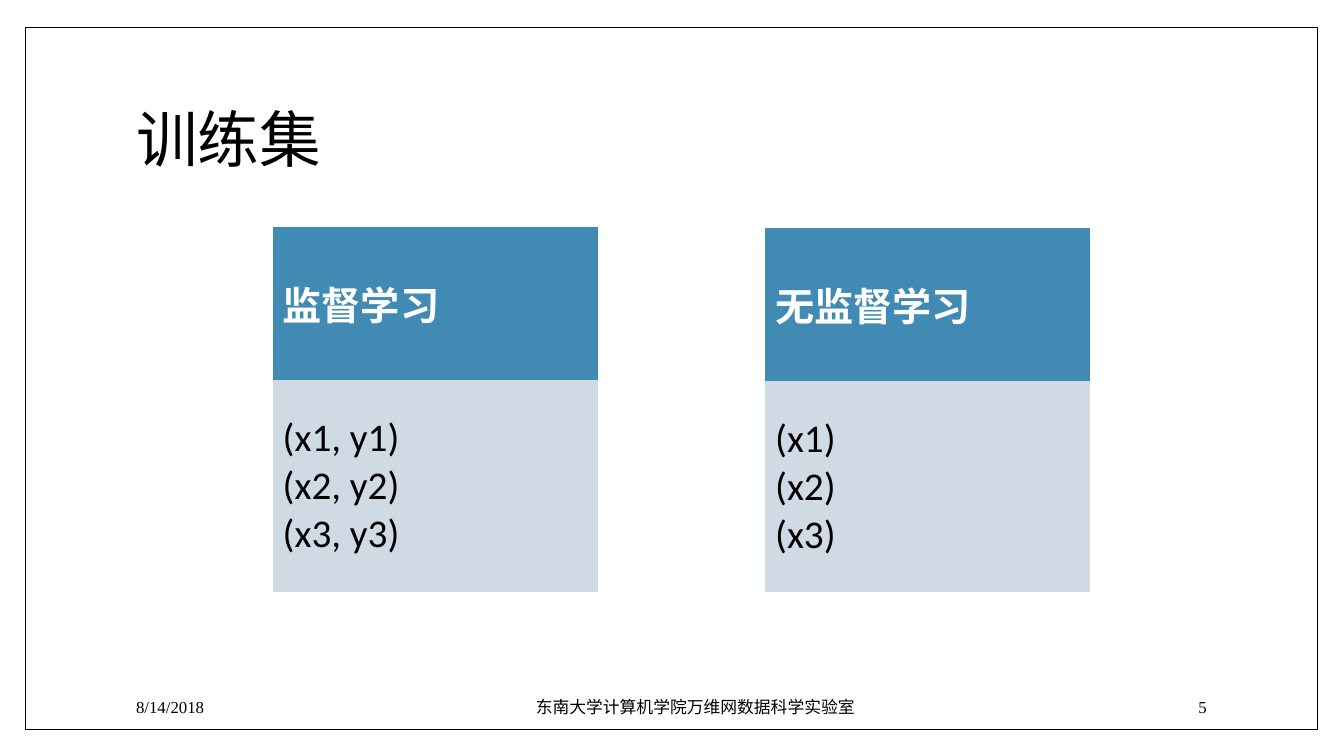
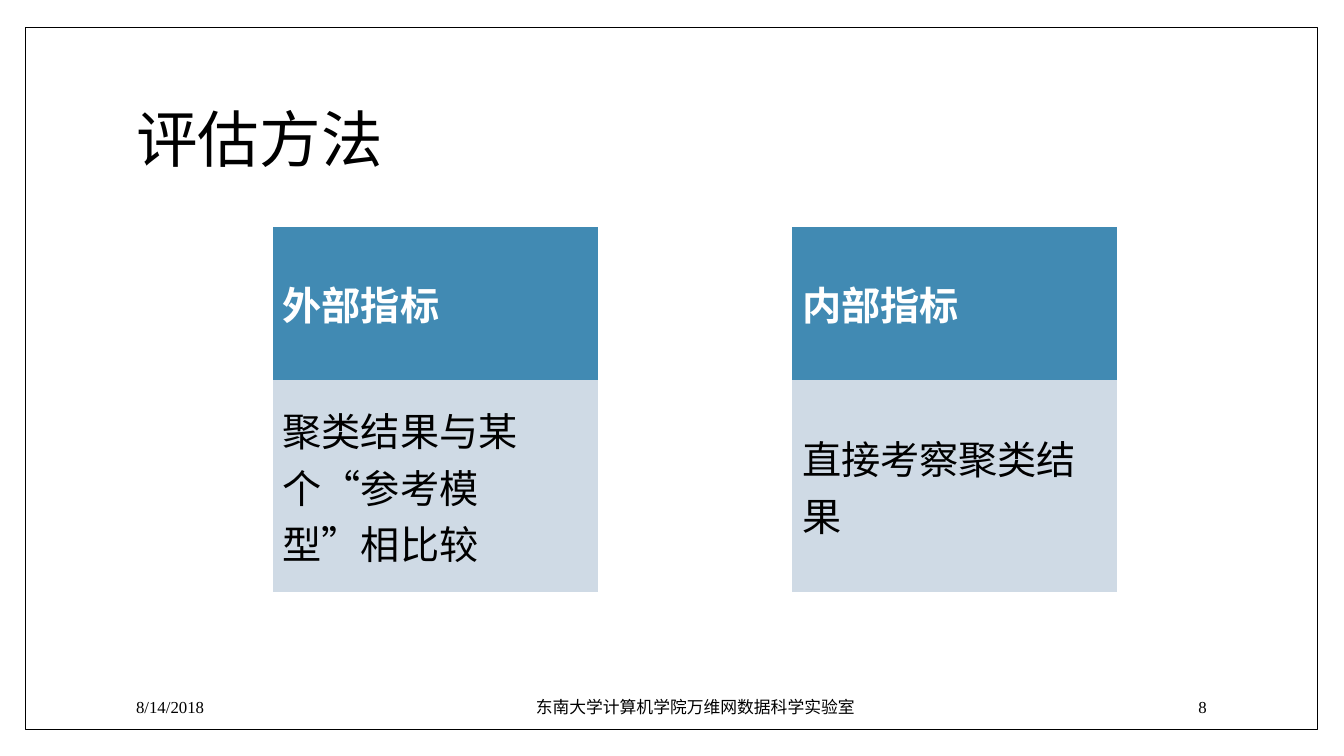
from dataclasses import dataclass

import pptx
import pptx.dml.color
import pptx.enum.shapes
import pptx.enum.text
import pptx.oxml.ns
import pptx.slide
import pptx.text.text
import pptx.util

Cm = pptx.util.Cm
Align = pptx.enum.text.PP_ALIGN
Middle = pptx.enum.text.MSO_ANCHOR.MIDDLE

COLOURS = {"ink": "000000", "paper": "FFFFFF", "header": "418AB3", "body": "CFDAE5"}
SERIF = "Times New Roman"
SANS = "Calibri"
PLAIN_TABLE_STYLE = "{2D5ABB26-0587-4C30-8999-92F81FD0307C}"
TITLE_ONLY = 5
MARGIN = 3.18
CARD_LEFT, CARD_TOP, CARD_WIDTH = 6.87, 5.72, 8.2
CARD_ROWS = (3.86, 5.33)


@dataclass(frozen=True)
class Card:
    left: float
    heading: str
    lines: tuple[str, ...]
    top: float = CARD_TOP


@dataclass(frozen=True)
class Topic:
    title: str
    number: int
    cards: tuple[Card, ...]


@dataclass(frozen=True)
class FooterPart:
    text: str
    left: float
    width: float
    align: Align
    font: str = SERIF


TOPICS = (
    Topic("训练集", 5, (
        Card(CARD_LEFT, "监督学习", ("(x1, y1)", "(x2, y2)", "(x3, y3)")),
        Card(19.28, "无监督学习", ("(x1)", "(x2)", "(x3)"), top=5.74),
    )),
    Topic("评估方法", 8, (
        Card(CARD_LEFT, "外部指标", ("聚类结果与某个“参考模型”相比较",)),
        Card(19.96, "内部指标", ("直接考察聚类结果",)),
    )),
)


def colour(name: str) -> pptx.dml.color.RGBColor:
    return pptx.dml.color.RGBColor.from_string(COLOURS[name])


def style_text(frame: pptx.text.text.TextFrame, size: float, font: str,
               ink: str = "ink", bold: bool = False, align: Align = Align.LEFT) -> None:
    for para in frame.paragraphs:
        para.alignment = align
        para.font.size = pptx.util.Pt(size)
        para.font.name = font
        para.font.bold = bold
        para.font.color.rgb = colour(ink)


def add_frame(page: pptx.slide.Slide) -> None:
    """Put the page border on the layout, so that every slide shares it."""
    border = page.shapes.add_shape(pptx.enum.shapes.MSO_SHAPE.RECTANGLE,
                                   Cm(0.64), Cm(0.69), Cm(32.56), Cm(17.7))
    border.shadow.inherit = False
    border.fill.solid()
    border.fill.fore_color.rgb = colour("paper")
    border.line.color.rgb = colour("ink")
    border.line.width = pptx.util.Pt(1)
    page.slide_layout.shapes.element.insert(2, border.element)


def add_title(page: pptx.slide.Slide, text: str) -> None:
    title = page.shapes.title
    title.left, title.top = Cm(MARGIN), Cm(1.7)
    title.width, title.height = Cm(27.43), Cm(3.76)
    title.text_frame.text = text
    title.text_frame.vertical_anchor = Middle
    style_text(title.text_frame, 44, SERIF)
    title.text_frame.paragraphs[0].line_spacing = 0.9


def add_footer(page: pptx.slide.Slide, number: int) -> None:
    parts = (
        FooterPart("8/14/2018", MARGIN, 6.48, Align.LEFT),
        FooterPart("东南大学计算机学院万维网数据科学实验室", 10.97, 13.11, Align.CENTER, SANS),
        FooterPart(str(number), 25.91, 4.75, Align.RIGHT),
    )
    for part in parts:
        box = page.shapes.add_textbox(Cm(part.left), Cm(17.3), Cm(part.width), Cm(1.02))
        box.text_frame.word_wrap = True
        box.text_frame.vertical_anchor = Middle
        box.text_frame.text = part.text
        style_text(box.text_frame, 12, part.font, align=part.align)


def add_card(page: pptx.slide.Slide, card: Card) -> None:
    holder = page.shapes.add_table(len(CARD_ROWS), 1, Cm(card.left), Cm(card.top),
                                   Cm(CARD_WIDTH), Cm(sum(CARD_ROWS)))
    for style in holder.element.iter(pptx.oxml.ns.qn("a:tableStyleId")):
        style.text = PLAIN_TABLE_STYLE
    table = holder.table
    contents = (
        (card.heading, "header", "paper", True),
        ("\n".join(card.lines), "body", "ink", False),
    )
    for index, (text, fill, ink, bold) in enumerate(contents):
        table.rows[index].height = Cm(CARD_ROWS[index])
        cell = table.cell(index, 0)
        cell.fill.solid()
        cell.fill.fore_color.rgb = colour(fill)
        cell.vertical_anchor = Middle
        cell.text_frame.text = text
        style_text(cell.text_frame, 28, SANS, ink, bold)


def main() -> None:
    deck = pptx.Presentation()
    deck.slide_width, deck.slide_height = Cm(33.87), Cm(19.05)
    layout = deck.slide_layouts[TITLE_ONLY]
    for index, topic in enumerate(TOPICS):
        page = deck.slides.add_slide(layout)
        if index == 0:
            add_frame(page)
        add_title(page, topic.title)
        add_footer(page, topic.number)
        for card in topic.cards:
            add_card(page, card)
    deck.save("out.pptx")


if __name__ == "__main__":
    main()
